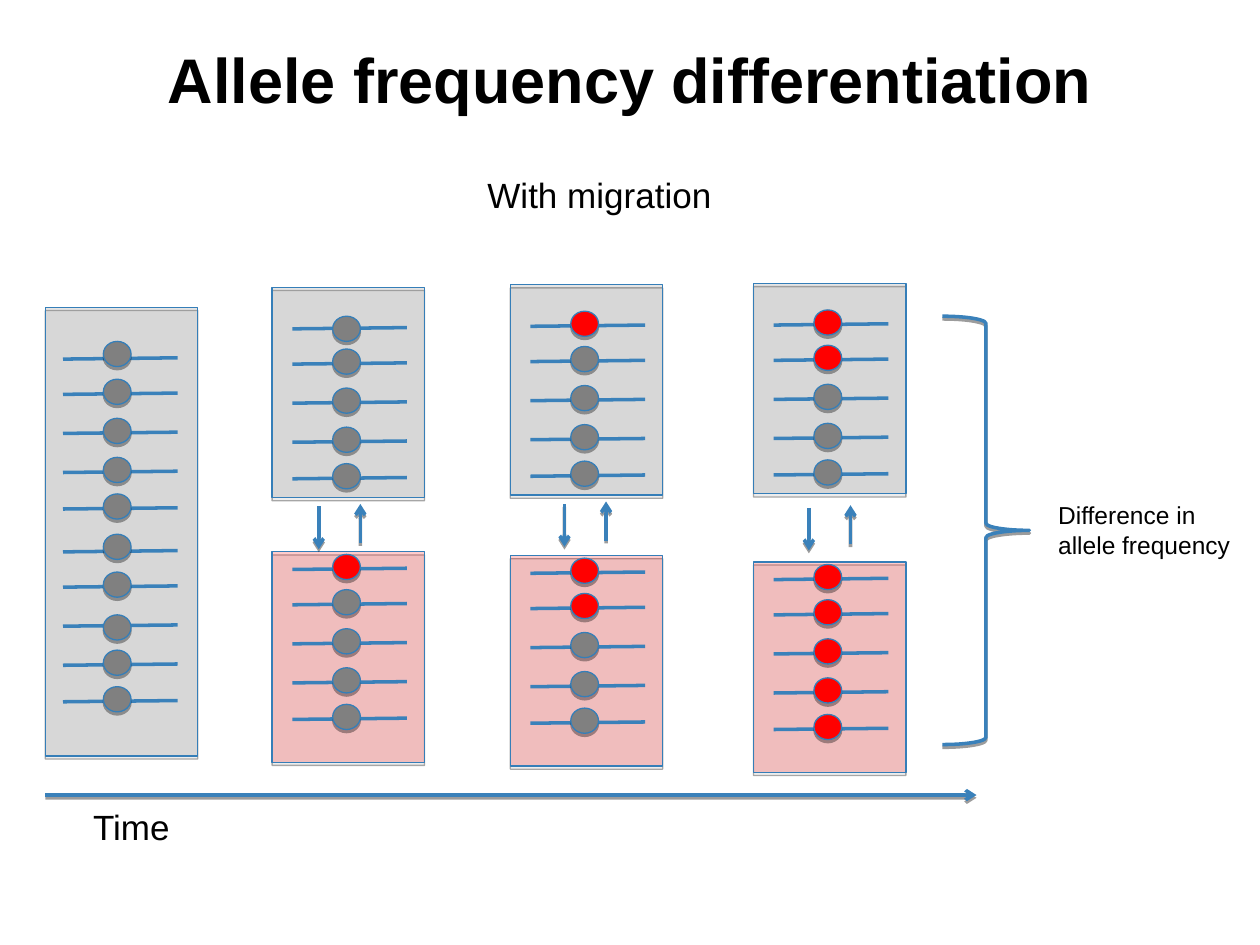
import lxml.etree
import pptx
import pptx.dml.color
import pptx.enum.shapes
import pptx.enum.text
import pptx.oxml.ns
import pptx.util

Inches = pptx.util.Inches
Shapes = pptx.enum.shapes.MSO_SHAPE
COLORS = {
    "text": "000000",
    "outline": "357EB8",
    "stroke": "3A81BA",
    "ancestral": "808080",
    "derived": "FF0000",
    "shadow": "000000",
}
SHAPE_SHADOW = {"opacity": 35, "distance": 1.8}
LINE_SHADOW = {"opacity": 38, "distance": 1.6}
STRAND_STEPS = [0, 0.28, 0.59, 0.9, 1.19]
ALLELE_LIFT = 0.12


def color(name):
    """Return the RGB colour of a named role."""
    return pptx.dml.color.RGBColor.from_string(COLORS[name])


def add_element(parent, tag, **values):
    """Append a DrawingML element with the given attributes."""
    element = lxml.etree.SubElement(parent, pptx.oxml.ns.qn(tag))
    for key, value in values.items():
        element.set(key, str(value))
    return element


def set_shadow(item, shadow):
    """Give an item a straight-down shadow, or none at all."""
    effects = add_element(item._element.spPr, "a:effectLst")
    if shadow:
        outer = add_element(effects, "a:outerShdw", blurRad=0, dir=5400000,
                            dist=int(pptx.util.Pt(shadow["distance"])), rotWithShape=0)
        tone = add_element(outer, "a:srgbClr", val=COLORS["shadow"])
        add_element(tone, "a:alpha", val=shadow["opacity"] * 1000)


def add_filled(page, kind, box, fill, opacity=100):
    """Draw an outlined, shadowed shape in the given box."""
    shape = page.shapes.add_shape(kind, *map(Inches, box))
    shape.fill.solid()
    shape.fill.fore_color.rgb = color(fill)
    if opacity < 100:
        tone = shape._element.spPr.find(".//" + pptx.oxml.ns.qn("a:srgbClr"))
        add_element(tone, "a:alpha", val=opacity * 1000)
    shape.line.color.rgb = color("outline")
    shape.line.width = pptx.util.Pt(0.75)
    set_shadow(shape, SHAPE_SHADOW)


def add_line(page, start, end, arrow=False):
    """Draw a straight line, with a shadow and a head if it is an arrow."""
    line = page.shapes.add_connector(pptx.enum.shapes.MSO_CONNECTOR.STRAIGHT,
                                     *map(Inches, (*start, *end)))
    line.line.color.rgb = color("stroke")
    line.line.width = pptx.util.Pt(2)
    if arrow:
        outline = line._element.spPr.find(pptx.oxml.ns.qn("a:ln"))
        add_element(outline, "a:tailEnd", type="arrow")
    set_shadow(line, LINE_SHADOW if arrow else None)


def add_text(page, box, lines, size, **frame_format):
    """Write lines of text in the given box, unwrapped unless told otherwise."""
    frame = page.shapes.add_textbox(*map(Inches, box)).text_frame
    settings = {
        "word_wrap": False,
        "auto_size": pptx.enum.text.MSO_AUTO_SIZE.NONE,
        "margin_right": 0,
    }
    for key, value in {**settings, **frame_format}.items():
        setattr(frame, key, value)
    frame.text = "\n".join(lines)
    for para in frame.paragraphs:
        para.alignment = pptx.enum.text.PP_ALIGN.LEFT
        for key, value in {"name": "Arial", "size": pptx.util.Pt(size)}.items():
            setattr(para.font, key, value)
        para.font.color.rgb = color("text")
    return frame


def add_title(page, box):
    """Write the slide title, centred in its box."""
    frame = add_text(page, box, ["Allele frequency differentiation"], 36,
                     word_wrap=True, margin_right=Inches(0.1),
                     vertical_anchor=pptx.enum.text.MSO_ANCHOR.MIDDLE)
    para = frame.paragraphs[0]
    para.alignment = pptx.enum.text.PP_ALIGN.CENTER
    para.font.bold = True


def add_population(page, box, fill, steps, inset, derived=0, lifts=None):
    """Draw a population box with its strands, the first ones derived."""
    left, top = box[:2]
    add_filled(page, Shapes.RECTANGLE, box, fill, opacity=20)
    start = left + inset[0]
    for index, step in enumerate(steps):
        height = top + inset[1] + step
        add_line(page, (start, height), (start + 0.91, height - 0.01))
        lift = (lifts or {}).get(index, ALLELE_LIFT)
        allele = "derived" if index < derived else "ancestral"
        add_filled(page, Shapes.OVAL, (start + 0.32, height - lift, 0.22, 0.2), allele)


def add_migration(page, left, top):
    """Draw the pair of opposite migration arrows."""
    add_line(page, (left, top), (left, top + 0.34), arrow=True)
    add_line(page, (left + 0.33, top + 0.29), (left + 0.33, top - 0.02), arrow=True)


def add_difference(page, box):
    """Draw the brace and the label to its right."""
    left, top, width, height = box
    brace = page.shapes.add_shape(Shapes.RIGHT_BRACE, *map(Inches, box))
    brace.adjustments[0] = 0.083
    brace.fill.background()
    brace.line.color.rgb = color("stroke")
    brace.line.width = pptx.util.Pt(2)
    set_shadow(brace, LINE_SHADOW)
    label = (left + width + 0.13, top + height / 2 - 0.29, 1.56, 0.57)
    add_text(page, label, ["Difference in", "allele frequency"], 14, word_wrap=True)


def add_time_axis(page, left, top, width):
    """Draw the time arrow and its label."""
    add_line(page, (left, top), (left + width, top), arrow=True)
    add_text(page, (left + 0.28, top + 0.03, 0.8, 0.43), ["Time"], 20, word_wrap=True)


def main():
    """Build the slide and save it."""
    deck = pptx.Presentation()
    deck.slide_width, deck.slide_height = Inches(10), Inches(7.5)
    page = deck.slides.add_slide(deck.slide_layouts[6])
    add_title(page, (0.5, 0, 9, 1.25))
    add_text(page, (3.77, 1.33, 1.98, 0.43), ["With migration"], 20, word_wrap=True)

    ancestor_steps = STRAND_STEPS + [1.53 + step for step in STRAND_STEPS]
    add_population(page, (0.36, 2.44, 1.21, 3.56), "ancestral", ancestor_steps,
                   (0.14, 0.41), lifts={0: 0.14, 5: 0.14, 7: 0.09})
    stages = [
        (2.16, 2.28, 4.38, 0, 1, (2.53, 4.02), {0: 0.1}),
        (4.05, 2.26, 4.41, 1, 2, (4.48, 4), None),
        (5.98, 2.25, 4.46, 2, 5, (6.42, 4.03), None),
    ]
    for left, upper, lower, upper_derived, lower_derived, arrows, lifts in stages:
        add_population(page, (left, upper, 1.21, 1.67), "ancestral", STRAND_STEPS,
                       (0.16, 0.33), upper_derived, lifts)
        add_population(page, (left, lower, 1.21, 1.67), "derived", STRAND_STEPS,
                       (0.16, 0.14), lower_derived)
        add_migration(page, *arrows)

    add_difference(page, (7.48, 2.51, 0.69, 3.4))
    add_time_axis(page, 0.36, 6.31, 7.39)
    deck.save("out.pptx")


if __name__ == "__main__":
    main()
